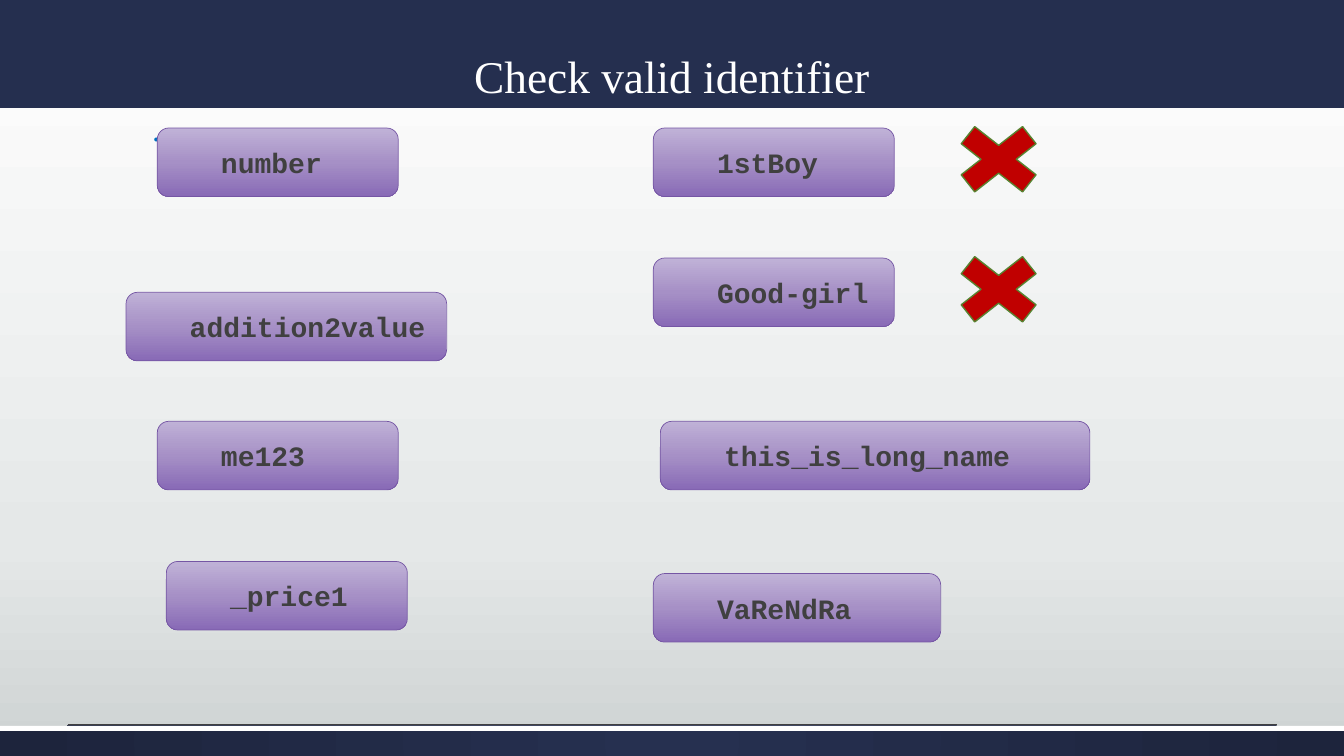
from dataclasses import dataclass

from lxml.etree import SubElement as Sub
from pptx import Presentation
from pptx.dml.color import RGBColor as RGB
from pptx.enum.shapes import MSO_CONNECTOR as Link, MSO_SHAPE as Kind
from pptx.enum.text import MSO_ANCHOR as Anchor, MSO_AUTO_SIZE as Auto, PP_ALIGN as Align
from pptx.oxml.ns import qn
from pptx.util import Inches, Pt


@dataclass(frozen=True)
class Theme:
    serif: str = "Times New Roman"
    mono: str = "Courier New"
    navy: str = "252F4F"
    white: str = "FFFFFF"
    blue: str = "0070C0"
    ink: str = "404040"
    edge: str = "7556A4"
    red: str = "C00000"
    green: str = "588331"
    back: tuple = ((0, "FFFFFF"), (72, "E5E8E8"), (100, "CDD2D2"))
    foot: tuple = ((0, "263050"), (100, "1D243C"))
    card: tuple = ((0, "C0B2D7"), (50, "A690C6"), (100, "886AB6"))
    head: float = 32.4
    body: float = 24
    label: float = 20


class Deck:
    def __init__(self, theme):
        self.theme = theme
        self.show = Presentation()
        self.show.slide_width = Inches(13.33)
        self.show.slide_height = Inches(7.5)
        self.slide = self.show.slides.add_slide(self.show.slide_layouts[1])
        self.shapes = self.slide.shapes

    def blend(self, fill, root, stops, round=False):
        fill.gradient()
        grad = root.xpath(".//a:gradFill")[0]
        for child in list(grad):
            grad.remove(child)
        group = Sub(grad, qn("a:gsLst"))
        for place, tone in stops:
            stop = Sub(group, qn("a:gs"), pos=str(place * 1000))
            Sub(stop, qn("a:srgbClr"), val=tone)
        if round:
            way = Sub(grad, qn("a:path"), path="circle")
            Sub(way, qn("a:fillToRect"), l="50000", t="50000", r="50000", b="50000")
        else:
            Sub(grad, qn("a:lin"), ang="5400000", scaled="0")

    def paint(self, fill, tone):
        fill.solid()
        fill.fore_color.rgb = RGB.from_string(tone)

    def move(self, shape, *box):
        shape.left, shape.top, shape.width, shape.height = map(Inches, box)

    def indent(self, para, left):
        props = para._p.get_or_add_pPr()
        props.set("marL", str(Inches(left)))
        props.set("indent", "0")
        Sub(props, qn("a:buNone"))

    def text(self, para, words, face, size, tone, bold=False):
        run = para.add_run()
        run.text = words
        run.font.name = face
        run.font.size = Pt(size)
        run.font.bold = bold
        run.font.color.rgb = RGB.from_string(tone)

    def ground(self):
        self.blend(self.slide.background.fill, self.slide.background._cSld, self.theme.back)

    def title(self, words, *box):
        shape = self.shapes.title
        self.move(shape, *box)
        self.paint(shape.fill, self.theme.navy)
        frame = shape.text_frame
        frame.auto_size = Auto.NONE
        frame.vertical_anchor = Anchor.BOTTOM
        para = frame.paragraphs[0]
        para.alignment = Align.CENTER
        para.line_spacing = 3.0
        self.text(para, words, self.theme.serif, self.theme.head, self.theme.white)

    def body(self, words, *box):
        shape = self.slide.placeholders[1]
        self.move(shape, *box)
        frame = shape.text_frame
        frame.auto_size = Auto.NONE
        frame.margin_left = 0
        para = frame.paragraphs[0]
        self.indent(para, 0.05)
        para.line_spacing = 0.9
        para.space_before = Pt(0)
        self.text(para, words, self.theme.serif, self.theme.body, self.theme.blue)

    def shape(self, kind, box, fill, line=None, width=1, round=False):
        shape = self.shapes.add_shape(kind, *map(Inches, box))
        shape.shadow.inherit = False
        if isinstance(fill, tuple):
            self.blend(shape.fill, shape._element.spPr, fill, round)
        else:
            self.paint(shape.fill, fill)
        if line:
            self.paint(shape.line.fill, line)
            shape.line.width = Pt(width)
        else:
            shape.line.fill.background()
        return shape

    def card(self, words, left, top, width):
        box = left, top, width, 0.68
        shape = self.shape(Kind.ROUNDED_RECTANGLE, box, self.theme.card, self.theme.edge, 0.5)
        frame = shape.text_frame
        frame.word_wrap = True
        frame.vertical_anchor = Anchor.MIDDLE
        para = frame.paragraphs[0]
        para.level = 1
        para.alignment = Align.LEFT
        self.indent(para, 0.5)
        self.text(para, words, self.theme.mono, self.theme.label, self.theme.ink, True)

    def cross(self, left, top):
        self.shape(Kind.MATH_MULTIPLY, (left, top, 1.17, 0.92), self.theme.red, self.theme.green)

    def rule(self, left, right, top):
        ends = map(Inches, (left, top, right, top))
        line = self.shapes.add_connector(Link.STRAIGHT, *ends)
        self.paint(line.line.fill, self.theme.ink)
        line.line.width = Pt(0.75)
        Sub(line._element.spPr, qn("a:effectLst"))

    def footer(self):
        self.shape(Kind.RECTANGLE, (0, 7.2, 13.33, 0.3), self.theme.foot, round=True)
        self.shape(Kind.RECTANGLE, (0, 7.2, 13.33, 0.05), self.theme.white)
        self.rule(0.67, 12.67, 7.19)


CARDS = (
    ("number", 1.56, 1.27, 2.39),
    ("addition2value", 1.25, 2.9, 3.18),
    ("me123", 1.56, 4.18, 2.39),
    ("_price1", 1.65, 5.57, 2.39),
    ("1stBoy", 6.48, 1.27, 2.39),
    ("Good-girl", 6.48, 2.56, 2.39),
    ("this_is_long_name", 6.55, 4.18, 4.26),
    ("VaReNdRa", 6.48, 5.69, 2.85),
)
WRONG = {"1stBoy", "Good-girl"}


def main():
    deck = Deck(Theme())
    deck.ground()
    deck.title("Check valid identifier", 0, 0, 13.33, 1.07)
    deck.body(".", 1.46, 1.07, 10.4, 6.17)
    deck.footer()
    for words, left, top, width in CARDS:
        deck.card(words, left, top, width)
        if words in WRONG:
            deck.cross(9.32, top - 0.15)
    deck.show.save("out.pptx")


if __name__ == "__main__":
    main()
